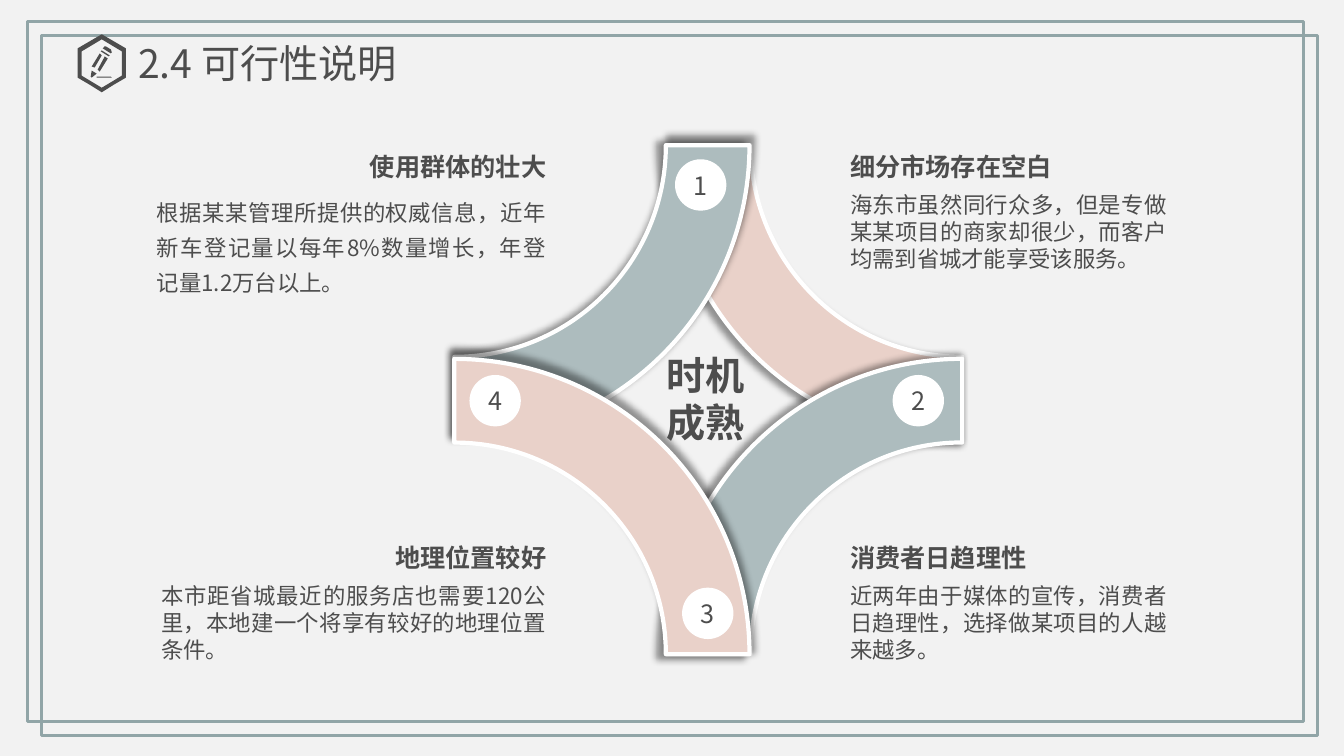
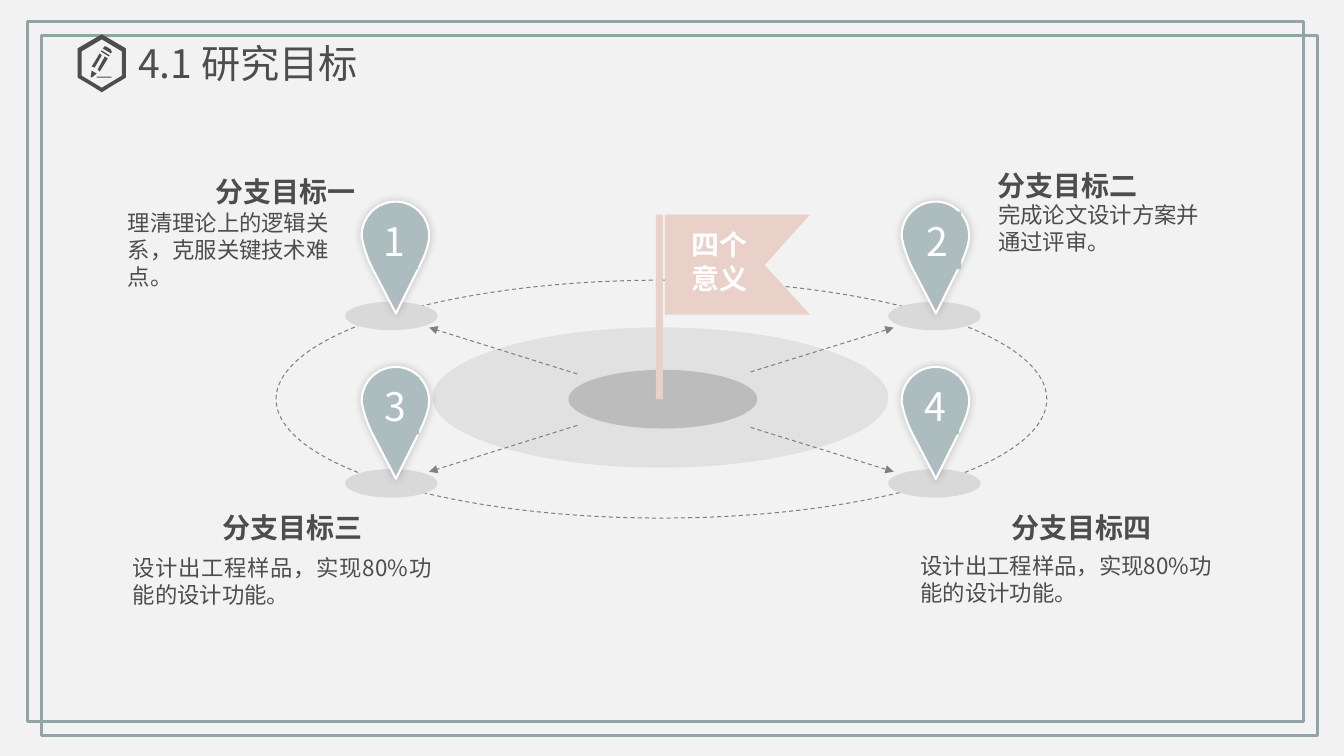
import lxml.etree
import pptx
import pptx.dml.color
import pptx.enum.dml
import pptx.enum.shapes
import pptx.enum.text
import pptx.oxml.ns
import pptx.util

Inches = pptx.util.Inches
Pt = pptx.util.Pt
qn = pptx.oxml.ns.qn
PRESET = pptx.enum.shapes.MSO_SHAPE
ALIGN = pptx.enum.text.PP_ALIGN
ANCHOR = pptx.enum.text.MSO_ANCHOR
FIT = pptx.enum.text.MSO_AUTO_SIZE

FONT = "Noto Sans CJK SC"
COLOURS = {
    "paper": "F2F2F2", "border": "91A5A7", "ink": "4D4D4D", "white": "FFFFFF",
    "teal": "ADBCBE", "pink": "E9D1C9", "dash": "808080",
    "halo": "DBDBDB", "hub": "999999", "spot": "D9D9D9", "black": "000000",
}

BOX = {"word_wrap": True, "auto_size": FIT.SHAPE_TO_FIT_TEXT}
FLUSH = {"margin_left": 0, "margin_right": 0, "margin_top": 0, "margin_bottom": 0}
CENTRED = {"alignment": ALIGN.CENTER}
STYLES = {
    "title": {"frame": {**BOX, **FLUSH}, "font": {"size": Pt(28)}},
    "heading": {"frame": BOX, "font": {"size": Pt(18), "bold": True}},
    "goal": {"frame": BOX, "font": {"size": Pt(20), "bold": True},
             "paragraph": {"alignment": ALIGN.RIGHT}},
    "body": {"frame": BOX, "font": {"size": Pt(16)}},
    "core": {"frame": BOX, "font": {"size": Pt(28), "bold": True}, "paragraph": CENTRED},
    "flag": {"frame": BOX, "font": {"size": Pt(20), "bold": True}, "paragraph": CENTRED},
    "badge": {"frame": {"vertical_anchor": ANCHOR.MIDDLE},
              "font": {"size": Pt(18)}, "paragraph": CENTRED},
    "pin": {"frame": {"word_wrap": False, "auto_size": FIT.SHAPE_TO_FIT_TEXT,
                      "vertical_anchor": ANCHOR.MIDDLE},
            "font": {"size": Pt(28)}, "paragraph": {"alignment": ALIGN.LEFT}},
}

BORDERS = [(0.27, 0.21), (0.41, 0.35)]
ICON = [
    [(1.01, 0.34), (1.13, 0.41), (1.25, 0.48), (1.25, 0.63), (1.25, 0.77), (1.13, 0.84),
     (1.01, 0.915), (0.89, 0.84), (0.77, 0.77), (0.77, 0.63), (0.77, 0.48), (0.89, 0.41)],
    [(1.01, 0.39), (1.11, 0.45), (1.21, 0.51), (1.21, 0.63), (1.21, 0.75), (1.11, 0.81),
     (1.01, 0.87), (0.91, 0.81), (0.81, 0.75), (0.81, 0.63), (0.81, 0.51), (0.91, 0.45)],
    [(0.96, 0.76), (1.1, 0.76), ((1.1, 0.76), (1.11, 0.76), (1.11, 0.77)),
     ((1.11, 0.77), (1.1, 0.77), (1.1, 0.77)), (0.96, 0.77)],
    [(0.97, 0.69), (1.04, 0.56), (1.07, 0.58), (0.99, 0.71)],
    [(0.91, 0.66), (0.99, 0.53), (1.01, 0.55), (0.94, 0.67)],
    [(0.9, 0.76), (0.91, 0.7), (0.96, 0.73), (0.91, 0.77),
     ((0.9, 0.77), (0.9, 0.77), (0.9, 0.76))],
    [(1.01, 0.5), (1, 0.51), (1.08, 0.56), (1.09, 0.55)],
    [(1.03, 0.47), ((1.03, 0.46), (1.04, 0.46), (1.05, 0.46)), (1.1, 0.49),
     ((1.11, 0.5), (1.11, 0.51), (1.11, 0.52)), (1.1, 0.53), (1.02, 0.48)],
]

REASONS = [
    ("消费者日趋理性", (8.34, 5.33, 2.1, 0.4), ALIGN.LEFT,
     "近两年由于媒体的宣传，消费者日趋理性，选择做某项目的人越来越多。",
     (8.34, 5.73, 3.34, 0.91), None),
    ("使用群体的壮大", (3.09, 1.45, 2.43, 0.4), ALIGN.RIGHT,
     "根据某某管理所提供的权威信息，近年新车登记量以每年8%数量增长，年登记量1.2万台以上。",
     (1.46, 1.85, 4.06, 1.15), 1.3),
    ("细分市场存在空白", (8.34, 1.45, 2.29, 0.4), ALIGN.LEFT,
     "海东市虽然同行众多，但是专做某某项目的商家却很少，而客户均需到省城才能享受该服务。",
     (8.34, 1.85, 3.34, 0.91), None),
    ("地理位置较好", (2.81, 5.33, 2.71, 0.4), ALIGN.RIGHT,
     "本市距省城最近的服务店也需要120公里，本地建一个将享有较好的地理位置条件。",
     (1.5, 5.73, 4.02, 0.91), None),
]
STAR = {"left": 4.51, "right": 9.55, "top": 1.44, "bottom": 6.49}
BLADES = [("right", "top", "pink"), ("left", "top", "teal"),
          ("right", "bottom", "teal"), ("left", "bottom", "pink")]
BLADE_RADII = (2.93, 2.1)
ARC = 0.5523
BADGES = [(6.7, 1.58), (8.86, 3.72), (6.77, 5.83), (4.66, 3.72)]

GOALS = [
    ("分支目标一", (1.95, 1.68, 1.68, 0.44), "理清理论上的逻辑关系，克服关键技术难点。",
     (1.17, 2.03, 2.39, 0.91), ALIGN.LEFT),
    ("分支目标二", (9.78, 1.62, 1.61, 0.44), "完成论文设计方案并通过评审。",
     (9.81, 1.95, 2.36, 0.64), ALIGN.LEFT),
    ("分支目标三", (1.95, 5.02, 1.75, 0.44), "设计出工程样品，实现80%功能的设计功能。",
     (1.22, 5.45, 3.16, 0.64), ALIGN.JUSTIFY),
    ("分支目标四", (9.93, 5.02, 1.6, 0.44), "设计出工程样品，实现80%功能的设计功能。",
     (9.04, 5.43, 3.13, 0.64), ALIGN.LEFT),
]
SPOTS = [(x, y, 1.01, 0.31) for x, y in
         [(3.38, 2.98), (3.38, 4.64), (8.77, 4.64), (8.77, 2.98)]]
ARROWS = [((5.73, 4.22), (4.26, 4.68)), ((7.45, 3.69), (8.87, 3.25)),
          ((5.73, 3.71), (4.26, 3.25)), ((7.45, 4.24), (8.87, 4.68))]
FLAG = [(8.04, 2.13), (6.6, 2.13), (6.6, 3.12), (8.04, 3.12), (7.59, 2.63)]
PINS = [(3.93, 2, 3.71), (9.29, 2, 9.1), (3.93, 3.64, 3.72), (9.29, 3.64, 9.08)]
DROP = [(0, 0), ((0.18, 0), (0.33, 0.15), (0.33, 0.34)),
        ((0.33, 0.43), (0.28, 0.55), (0.23, 0.65)), (0, 1.11), (-0.24, 0.65),
        ((-0.28, 0.57), (-0.33, 0.43), (-0.34, 0.34)),
        ((-0.34, 0.15), (-0.19, 0), (0, 0))]
DISC = [(0.18, 0.18), ((0.36, 0), (0.64, 0), (0.82, 0.18)),
        ((1, 0.36), (1, 0.64), (0.82, 0.82)),
        ((0.64, 1), (0.36, 1), (0.18, 0.82)),
        ((0, 0.64), (0, 0.36), (0.18, 0.18))]


def rgb(name):
    return pptx.dml.color.RGBColor.from_string(COLOURS[name])


def apply(target, values):
    for name, value in values.items():
        setattr(target, name, value)


def write(frame, text, style, colour="ink", **paragraph_format):
    values = STYLES[style]
    apply(frame, values["frame"])
    paragraph = frame.paragraphs[0]
    apply(paragraph, {**values.get("paragraph", {}), **paragraph_format})
    run = paragraph.add_run()
    run.text = text
    apply(run.font, {**values["font"], "name": FONT})
    run.font.color.rgb = rgb(colour)
    lxml.etree.SubElement(run.font._element, qn("a:ea"), typeface=FONT)


def add_text(shapes, place, text, style, colour="ink", **paragraph_format):
    box = shapes.add_textbox(*map(Inches, place))
    write(box.text_frame, text, style, colour, **paragraph_format)


def paint(shape, fill=None, line=None, width=0, opacity=None, shadow=None):
    shape.shadow.inherit = False
    if fill:
        shape.fill.solid()
        shape.fill.fore_color.rgb = rgb(fill)
    else:
        shape.fill.background()
    if opacity:
        tint = shape._element.spPr.find(qn("a:solidFill"))[0]
        lxml.etree.SubElement(tint, qn("a:alpha"), val=str(opacity * 1000))
    if line:
        shape.line.color.rgb = rgb(line)
        shape.line.width = Pt(width)
    else:
        shape.line.fill.background()
    if shadow:
        alpha, blur, angle, scale = shadow
        effects = shape._element.spPr.find(qn("a:effectLst"))
        outer = lxml.etree.SubElement(
            effects, qn("a:outerShdw"), blurRad=str(Pt(blur)), dir=str(angle * 60000),
            sx=str(scale * 1000), sy=str(scale * 1000), algn="ctr", rotWithShape="0")
        tint = lxml.etree.SubElement(outer, qn("a:srgbClr"), val=COLOURS["black"])
        lxml.etree.SubElement(tint, qn("a:alpha"), val=str(alpha * 1000))
    return shape


def add_preset(shapes, preset, place, **look):
    return paint(shapes.add_shape(preset, *map(Inches, place)), **look)


def is_curve(step):
    return isinstance(step[0], tuple)


def moved(contour, rule):
    return [tuple(rule(*point) for point in step) if is_curve(step) else rule(*step)
            for step in contour]


def add_outline(shapes, contours, **look):
    builder = None
    for start, *steps in contours:
        origin = Inches(start[0]), Inches(start[1])
        if builder is None:
            builder = shapes.build_freeform(*origin)
        else:
            builder.move_to(*origin)
        points = [point for step in steps for point in (step if is_curve(step) else [step])]
        builder.add_line_segments([(Inches(x), Inches(y)) for x, y in points], close=True)
    shape = builder.convert_to_shape()
    corners = iter(list(shape._element.iter(qn("a:lnTo"))))
    for step in (step for contour in contours for step in contour[1:]):
        corner = next(corners)
        if is_curve(step):
            corner.addprevious(curve := corner.makeelement(qn("a:cubicBezTo")))
            for part in (corner, next(corners), next(corners)):
                curve.append(part[0])
                part.getparent().remove(part)
    return paint(shape, **look)


def add_disc(shapes, place, **look):
    left, top, width, height = place
    ring = moved(DISC, lambda x, y: (left + x * width, top + y * height))
    add_outline(shapes, [ring], **look)


def add_blade(shapes, side, level, colour):
    across = 1 if side == "left" else -1
    down = 1 if level == "top" else -1
    outer, inner = BLADE_RADII
    reach = outer * ARC
    bend = inner * ARC
    blade = [(outer, 0), ((outer, reach), (reach, outer), (0, outer)),
             (0, inner), ((bend, inner), (inner, bend), (inner, 0))]
    middle = outer / 2
    turn = 1 if side == "right" else -1

    def unturned(x, y):
        dx, dy = across * (x - middle), down * (y - middle)
        return (STAR[side] + across * middle + turn * dy,
                STAR[level] + down * middle - turn * dx)

    shape = add_outline(shapes, [moved(blade, unturned)], fill=colour, line="white",
                        width=3, shadow=(40, 5, 0, 102))
    shape.rotation = 90 if side == "right" else 270


def prepare_layout(deck):
    layout = deck.slide_layouts[6]
    layout.background.fill.solid()
    layout.background.fill.fore_color.rgb = rgb("paper")
    return layout


def new_slide(deck, title):
    slide = deck.slides.add_slide(deck.slide_layouts[6])
    add_text(slide.shapes, (1.37, 0.39, 3.99, 0.47), title, "title")
    add_outline(slide.shapes, ICON, fill="ink")
    return slide.shapes


def feasibility_slide(deck):
    shapes = new_slide(deck, "2.4 可行性说明")
    for heading, heading_place, side, body, body_place, spacing in REASONS:
        add_text(shapes, heading_place, heading, "heading", alignment=side)
        add_text(shapes, body_place, body, "body",
                 alignment=ALIGN.JUSTIFY, line_spacing=spacing)
    for blade in BLADES:
        add_blade(shapes, *blade)
    add_text(shapes, (6.39, 3.44, 1.22, 1.04), "时机成熟", "core")
    for number, corner in enumerate(BADGES, 1):
        badge = add_preset(shapes, PRESET.OVAL, (*corner, 0.51, 0.51), fill="white")
        write(badge.text_frame, str(number), "badge")
    return shapes


def add_arrow(shapes, start, end):
    arrow = shapes.add_connector(pptx.enum.shapes.MSO_CONNECTOR.STRAIGHT,
                                 *map(Inches, (*start, *end)))
    arrow.line.color.rgb = rgb("dash")
    arrow.line.width = Pt(0.75)
    arrow.line.dash_style = pptx.enum.dml.MSO_LINE.DASH
    properties = arrow._element.spPr
    lxml.etree.SubElement(properties.find(qn("a:ln")), qn("a:tailEnd"), type="triangle")
    lxml.etree.SubElement(properties, qn("a:effectLst"))


def add_pin(shapes, number, x, y, label_left):
    pin = shapes.add_group_shape().shapes
    add_outline(pin, [moved(DROP, lambda dx, dy: (x + dx, y + dy))], fill="teal",
                line="white", width=1.5, shadow=(20, 6, 225, 100))
    label = add_preset(pin, PRESET.RECTANGLE, (label_left, y + 0.1, 0.44, 0.57), fill="teal")
    write(label.text_frame, str(number), "pin", "white")


def goals_slide(deck):
    shapes = new_slide(deck, "4.1 研究目标")
    orbit = add_preset(shapes, PRESET.OVAL, (2.74, 2.78, 7.65, 2.36), line="dash", width=0.75)
    orbit.line.dash_style = pptx.enum.dml.MSO_LINE.DASH
    add_disc(shapes, (4.07, 3.18, 4.97, 1.53), fill="halo", opacity=70)
    for goal, goal_place, body, body_place, side in GOALS:
        add_text(shapes, goal_place, goal, "goal")
        add_text(shapes, body_place, body, "body", alignment=side)
    add_disc(shapes, (5.55, 3.64, 2.06, 0.64), fill="hub", opacity=50)
    for place in SPOTS:
        add_disc(shapes, place, fill="spot")
    for start, end in ARROWS:
        add_arrow(shapes, start, end)
    flag = shapes.add_group_shape().shapes
    add_outline(flag, [FLAG], fill="pink")
    add_preset(flag, PRESET.RECTANGLE, (6.51, 2.13, 0.07, 1.83), fill="pink")
    add_text(shapes, (6.72, 2.21, 0.85, 0.77), "四个意义", "flag", "white")
    for number, pin in enumerate(PINS, 1):
        add_pin(shapes, number, *pin)


def main():
    deck = pptx.Presentation()
    deck.slide_width = Inches(13.34)
    deck.slide_height = Inches(7.5)
    layout = prepare_layout(deck)
    shapes = feasibility_slide(deck)
    for left, top in BORDERS:
        border = add_preset(shapes, PRESET.RECTANGLE, (left, top, 12.67, 6.95),
                            line="border", width=2)
        layout.shapes._spTree.append(border._element)
    goals_slide(deck)
    deck.save("out.pptx")


if __name__ == "__main__":
    main()
